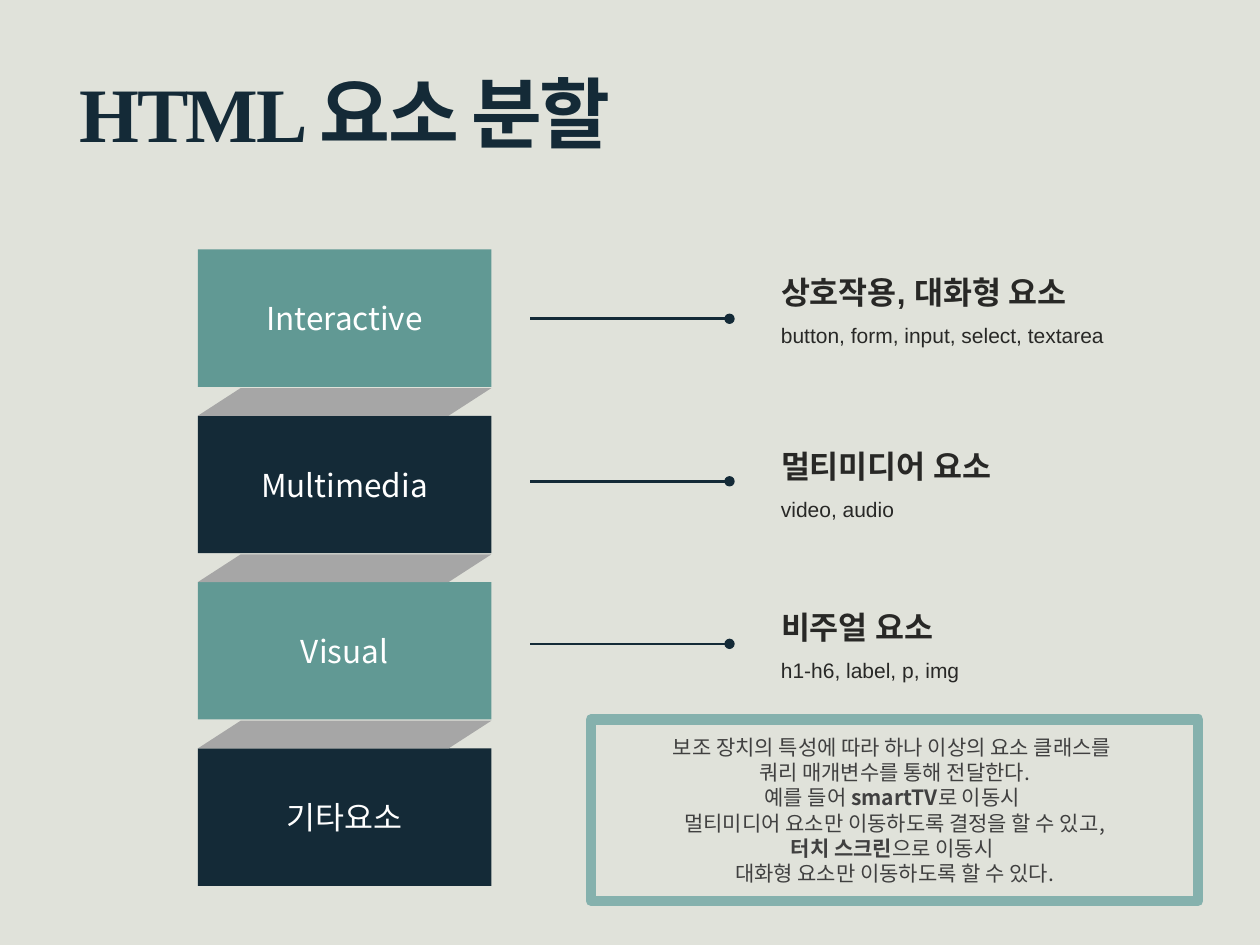
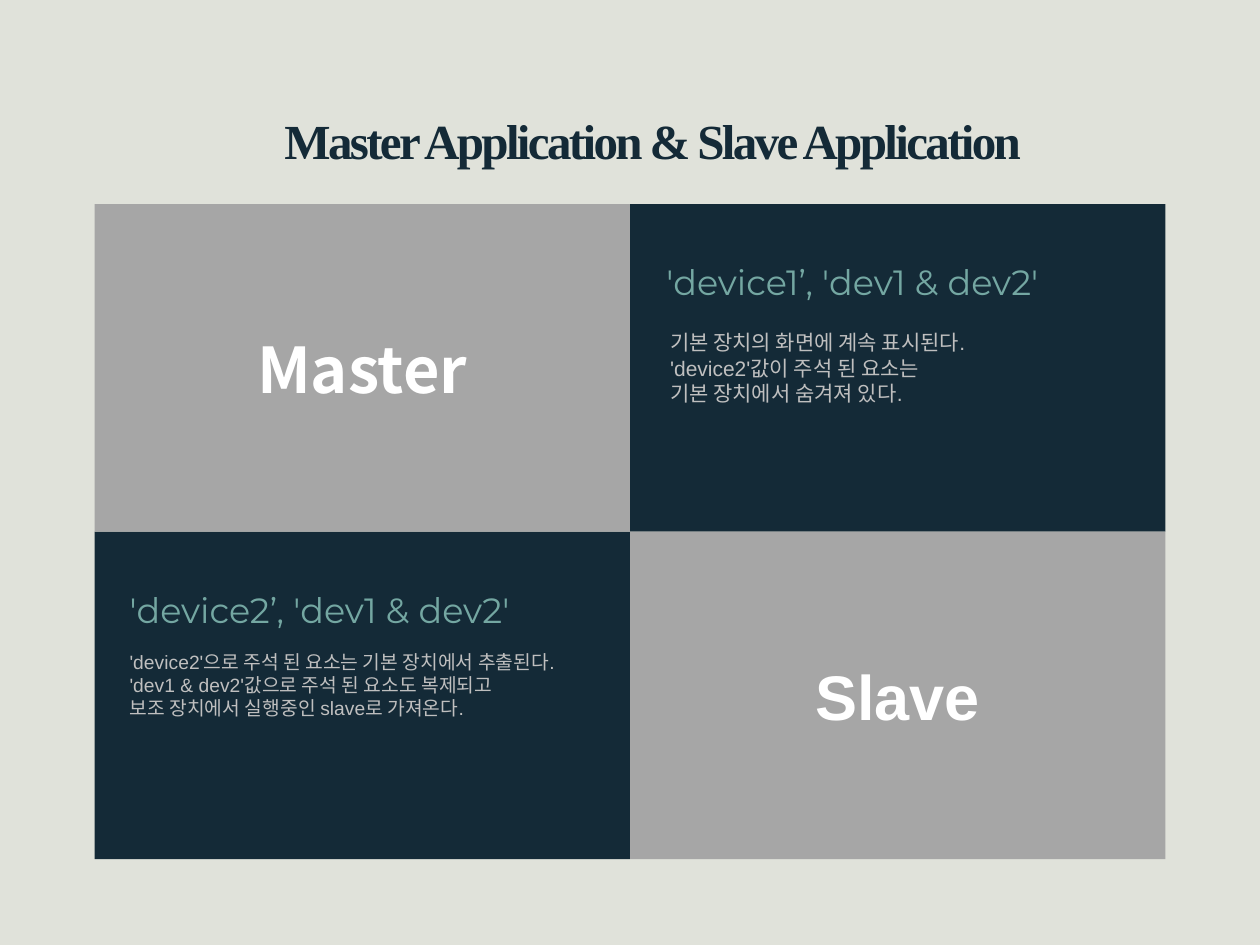
"""Build two slides on HTML element classes and on master and slave applications."""
from lxml.etree import SubElement
from pptx import Presentation
from pptx.dml.color import RGBColor
from pptx.enum.shapes import MSO_CONNECTOR, MSO_SHAPE
from pptx.enum.text import MSO_ANCHOR, MSO_AUTO_SIZE, PP_ALIGN
from pptx.oxml.ns import qn
from pptx.util import Inches, Pt

PAPER = RGBColor(0xE0, 0xE2, 0xDA)
NAVY = RGBColor(0x14, 0x2A, 0x37)
TEAL = RGBColor(0x61, 0x99, 0x94)
PALE_TEAL = RGBColor(0x85, 0xB1, 0xAD)
SOFT_TEAL = RGBColor(0x74, 0xA7, 0xA2)
GRAY = RGBColor(0xA6, 0xA6, 0xA6)
SILVER = RGBColor(0xBF, 0xBF, 0xBF)
CHARCOAL = RGBColor(0x40, 0x40, 0x40)
INK = RGBColor(0x28, 0x28, 0x26)
WHITE = RGBColor(0xFF, 0xFF, 0xFF)
SANS, SERIF, KOREAN, DISPLAY = "Arial", "Times New Roman", "Noto Sans CJK KR", "Montserrat"

BLOCKS = ["Interactive", "Multimedia", "Visual", "기타요소"]
CLASSES = [
    (2.12, "상호작용, 대화형 요소", "button, form, input, select, textarea"),
    (3.5, "멀티미디어 요소", "video, audio"),
    (4.78, "비주얼 요소", "h1-h6, label, p, img"),
]
SUMMARY = [
    [("보조 장치의 특성에 따라 하나 이상의 요소 클래스를 ", False)],
    [("쿼리 매개변수를 통해 전달한다.", False)],
    [("예를 들어 ", False), ("smartTV", True), ("로 이동시 ", False)],
    [("멀티미디어 요소만 이동하도록 결정을 할 수 있고,", False)],
    [("터치 스크린", True), ("으로 이동시 ", False)],
    [("대화형 요소만 이동하도록 할 수 있다.", False)],
]
ROLES = [(0, 0, "Master", KOREAN), (1, 1, "Slave", SANS)]
DEVICES = [
    (1, 0, 5.19, 5.22, 0.95, 12, "'device1’, 'dev1 & dev2'",
     ["기본 장치의 화면에 계속 표시된다.",
      "'device2'값이 주석 된 요소는 ",
      "기본 장치에서 숨겨져 있다. "]),
    (0, 1, 0.93, 0.93, 0.89, 11, "'device2’, 'dev1 & dev2'",
     ["'device2'으로 주석 된 요소는 기본 장치에서 추출된다. ",
      "'dev1 & dev2'값으로 주석 된 요소도 복제되고 ",
      "보조 장치에서 실행중인 slave로 가져온다."]),
]

BLOCK_LEFT, BLOCK_TOP, BLOCK_WIDTH, BLOCK_HEIGHT, BLOCK_STEP = 1.57, 1.98, 2.33, 1.09, 1.32
CELL_LEFT, CELL_TOP, CELL_WIDTH, CELL_HEIGHT = 0.75, 1.62, 4.25, 2.6


def write(frame, lines, size, face, color, bold=False, align=PP_ALIGN.LEFT):
    """Fill a frame with lines, each a string or a list of (text, bold) pairs."""
    frame.word_wrap = True
    for index, line in enumerate(lines):
        para = frame.add_paragraph() if index else frame.paragraphs[0]
        para.alignment = align
        para.font.size, para.font.name, para.font.bold = Pt(size), face, bold
        para.font.color.rgb = color
        for text, strong in [(line, bold)] if isinstance(line, str) else line:
            span = para.add_run()
            span.text = text
            if strong != bold:
                span.font.bold = strong


def add_text(page, area, lines, *style, **options):
    box = page.shapes.add_textbox(*map(Inches, area))
    write(box.text_frame, lines, *style, **options)
    box.text_frame.auto_size = MSO_AUTO_SIZE.SHAPE_TO_FIT_TEXT


def add_block(page, area, fill=None, kind=MSO_SHAPE.RECTANGLE):
    block = page.shapes.add_shape(kind, *map(Inches, area))
    block.shadow.inherit = False
    block.line.fill.background()
    if fill is None:
        block.fill.background()
    else:
        block.fill.solid()
        block.fill.fore_color.rgb = fill
    block.text_frame.vertical_anchor = MSO_ANCHOR.MIDDLE
    return block


def add_pointer(page, left, right, y):
    pointer = page.shapes.add_connector(
        MSO_CONNECTOR.STRAIGHT, Inches(left), Inches(y), Inches(right), Inches(y))
    pointer.line.color.rgb = NAVY
    pointer.line.width = Pt(1.5)
    SubElement(pointer.line._get_or_add_ln(), qn("a:tailEnd"), type="oval")
    SubElement(pointer._element.spPr, qn("a:effectLst"))


def add_page(deck, title, area, size):
    page = deck.slides.add_slide(deck.slide_layouts[5])
    box = page.shapes.title
    box.left, box.top, box.width, box.height = map(Inches, area)
    frame = box.text_frame
    write(frame, [title], size, SERIF, NAVY, bold=True, align=PP_ALIGN.CENTER)
    frame.vertical_anchor = MSO_ANCHOR.TOP
    frame.auto_size = MSO_AUTO_SIZE.SHAPE_TO_FIT_TEXT
    frame.paragraphs[0].runs[0]._r.get_or_add_rPr().set("spc", "-150")
    return page


def build_classes(deck):
    page = add_page(deck, "HTML 요소 분할", (0.35, 0.47, 4.78, 0.84), 44)
    for row, label in enumerate(BLOCKS):
        top = BLOCK_TOP + row * BLOCK_STEP
        block = add_block(page, (BLOCK_LEFT, top, BLOCK_WIDTH, BLOCK_HEIGHT),
                          NAVY if row % 2 else TEAL)
        write(block.text_frame, [label], 18, KOREAN, WHITE, align=PP_ALIGN.CENTER)
        if row:
            fold = add_block(page, (BLOCK_LEFT, top - 0.22, BLOCK_WIDTH, 0.22),
                             GRAY, MSO_SHAPE.PARALLELOGRAM)
            fold.adjustments[0] = 1.545
    for row, (top, heading, tags) in enumerate(CLASSES):
        add_pointer(page, 4.21, 5.79, 2.53 + row * 1.29)
        add_text(page, (6.1, top, 3.41, 0.4), [heading], 18, SANS, INK, bold=True)
        add_text(page, (6.1, top + 0.39, 3.6, 0.3), [tags], 12, SANS, INK)
    summary = add_block(page, (4.69, 5.71, 4.82, 1.44))
    summary.line.color.rgb = PALE_TEAL
    summary.line.width = Pt(6)
    write(summary.text_frame, SUMMARY, 12, KOREAN, CHARCOAL, align=PP_ALIGN.CENTER)


def add_cell(page, column, row, fill):
    area = (CELL_LEFT + column * CELL_WIDTH, CELL_TOP + row * CELL_HEIGHT,
            CELL_WIDTH, CELL_HEIGHT)
    return add_block(page, area, fill)


def build_applications(deck):
    page = add_page(deck, "Master Application & Slave Application",
                    (1.72, 0.83, 6.92, 0.57), 28)
    for column, row, heading_left, body_left, drop, size, heading, lines in DEVICES:
        add_cell(page, column, row, NAVY)
        top = CELL_TOP + row * CELL_HEIGHT
        add_text(page, (heading_left, top + 0.4, 4.06, 0.44), [heading],
                 20, DISPLAY, SOFT_TEAL)
        add_text(page, (body_left, top + drop, 3.88, 0.7), lines, size, SANS, SILVER)
    for column, row, role, face in ROLES:
        cell = add_cell(page, column, row, GRAY)
        write(cell.text_frame, [role], 36, face, WHITE, bold=True, align=PP_ALIGN.CENTER)


deck = Presentation()
deck.slide_width, deck.slide_height = Inches(10), Inches(7.5)
deck.slide_master.background.fill.solid()
deck.slide_master.background.fill.fore_color.rgb = PAPER
build_classes(deck)
build_applications(deck)
deck.save("out.pptx")
